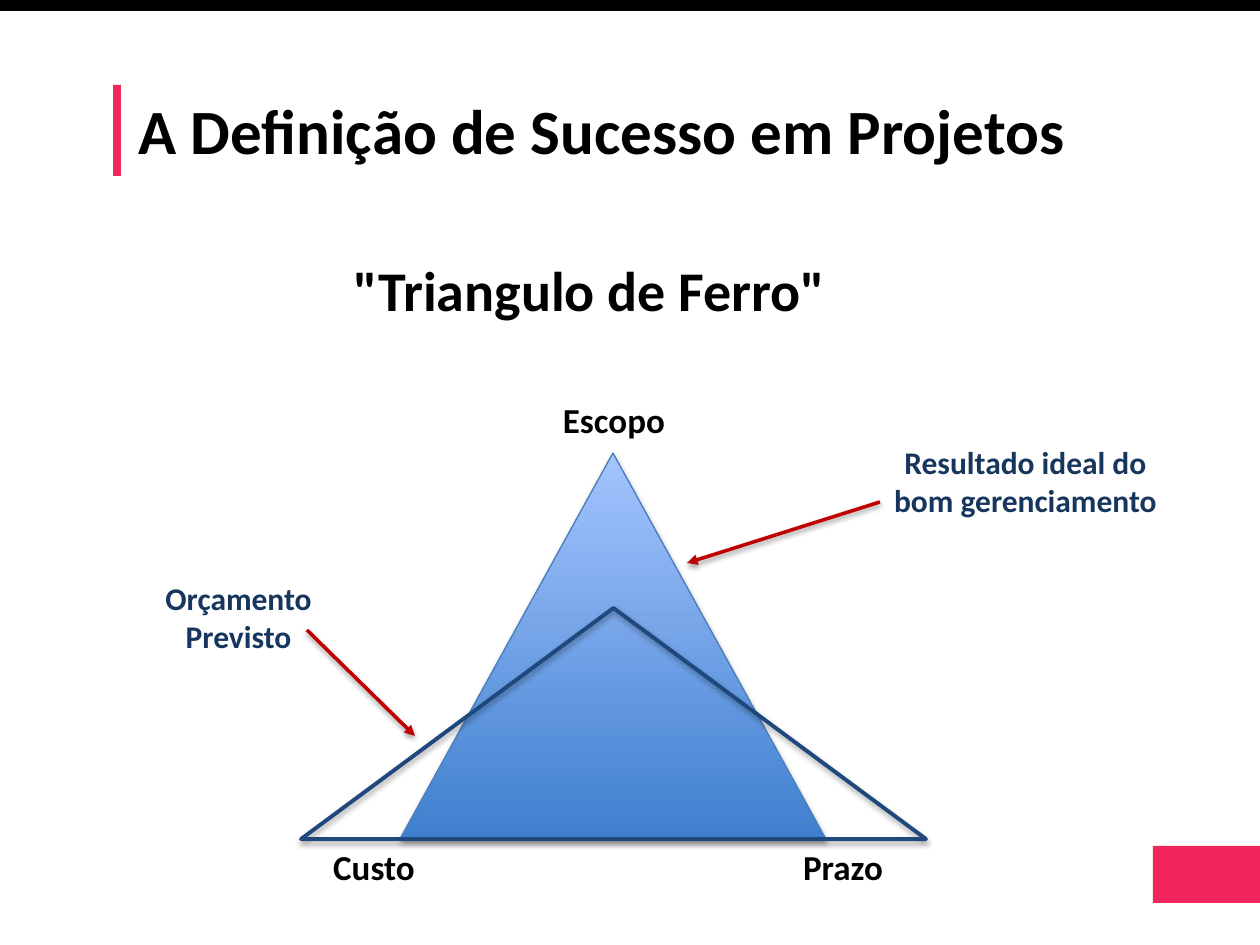
import lxml.etree
import pptx
import pptx.dml.color
import pptx.enum.shapes
import pptx.enum.text
import pptx.oxml
import pptx.oxml.ns
import pptx.util

THEME = {
    "font": "Calibri",
    "black": "000000", "pink": "F0265D", "navy": "17365D", "outline": "1F497D",
    "edge": "4B7EBC", "base": "3F80CE", "peak": "A4C4FF", "arrow": "C00000",
    "title": 36, "subtitle": 32, "corner": 20, "note": 18,
}
PX = pptx.util.Inches(1) / 126
qn = pptx.oxml.ns.qn
rgb = pptx.dml.color.RGBColor.from_string
kinds = pptx.enum.shapes.MSO_SHAPE
align = pptx.enum.text.PP_ALIGN


def put_text(s, text, size, color, alignment):
    tf = s.text_frame
    tf.vertical_anchor = pptx.enum.text.MSO_ANCHOR.TOP
    tf.word_wrap = True
    p = tf.paragraphs[0]
    p.alignment = alignment
    r = p.add_run()
    r.text = text
    r.font.color.rgb = rgb(THEME[color])
    style = {"name": THEME["font"], "size": pptx.util.Pt(THEME[size]), "bold": True}
    for name, value in style.items():
        setattr(r.font, name, value)


def add_shadow(s, opacity, distance):
    effects = lxml.etree.SubElement(s._element.spPr, qn("a:effectLst"))
    shade = lxml.etree.SubElement(
        effects, qn("a:outerShdw"), blurRad="40000", dist=str(distance),
        dir="5400000", rotWithShape="0")
    color = lxml.etree.SubElement(shade, qn("a:srgbClr"), val=THEME["black"])
    lxml.etree.SubElement(color, qn("a:alpha"), val=str(opacity * 1000))


prs = pptx.Presentation()
prs.slide_width, prs.slide_height = round(1260 * PX), round(945 * PX)
slide = prs.slides.add_slide(prs.slide_layouts[5])
shapes = slide.shapes

bars = [
    ((1153, 846, 108, 57), "pink"),
    ((0, 0, 1260, 11), "black"),
    ((113, 85, 8, 91), "pink"),
]
for box, color in bars:
    s = shapes.add_shape(kinds.RECTANGLE, *[round(v * PX) for v in box])
    s.fill.solid()
    s.fill.fore_color.rgb = rgb(THEME[color])
    s.line.fill.background()
    s.shadow.inherit = False

title = shapes.title
for name, value in {"left": 126, "top": 94, "width": 963, "height": 82}.items():
    setattr(title, name, round(value * PX))
put_text(title, "A Definição de Sucesso em Projetos", "title", "black", align.LEFT)
title.text_frame.word_wrap = False
title.text_frame.paragraphs[0].line_spacing = 0.9

triangles = [
    ((400, 453, 426, 386), "edge", 0.75),
    ((301, 608, 625, 231), "outline", 2.25),
]
for box, color, width in triangles:
    s = shapes.add_shape(kinds.ISOSCELES_TRIANGLE, *[round(v * PX) for v in box])
    if color == "edge":
        s.fill.gradient()
        s.fill.gradient_angle = 90
        for stop, (place, tone) in zip(s.fill.gradient_stops, [(0, "base"), (1, "peak")]):
            stop.position = place
            stop.color.rgb = rgb(THEME[tone])
    else:
        s.fill.background()
    s.line.color.rgb = rgb(THEME[color])
    s.line.width = pptx.util.Pt(width)
    add_shadow(s, 35, 23000)

for ends in [(880, 502, 687, 563), (307, 630, 415, 736)]:
    s = shapes.add_connector(
        pptx.enum.shapes.MSO_CONNECTOR.STRAIGHT, *[round(v * PX) for v in ends])
    s.line.color.rgb = rgb(THEME["arrow"])
    s.line.width = pptx.util.Pt(2)
    lxml.etree.SubElement(s.line._get_or_add_ln(), qn("a:tailEnd"), type="triangle")
    add_shadow(s, 38, 20000)

labels = [
    ("\"Triangulo de Ferro\"", (263, 249, 654, 81), "subtitle", "black"),
    ("Custo", (315, 839, 118, 55), "corner", "black"),
    ("Prazo", (784, 839, 118, 55), "corner", "black"),
    ("Escopo", (542, 392, 144, 55), "corner", "black"),
    ("Orçamento Previsto", (123, 573, 231, 89), "note", "navy"),
    ("Resultado ideal do bom gerenciamento", (864, 437, 323, 89), "note", "navy"),
]
for text, box, size, color in labels:
    s = shapes.add_textbox(*[round(v * PX) for v in box])
    put_text(s, text, size, color, align.CENTER)

prs.save("out.pptx")
